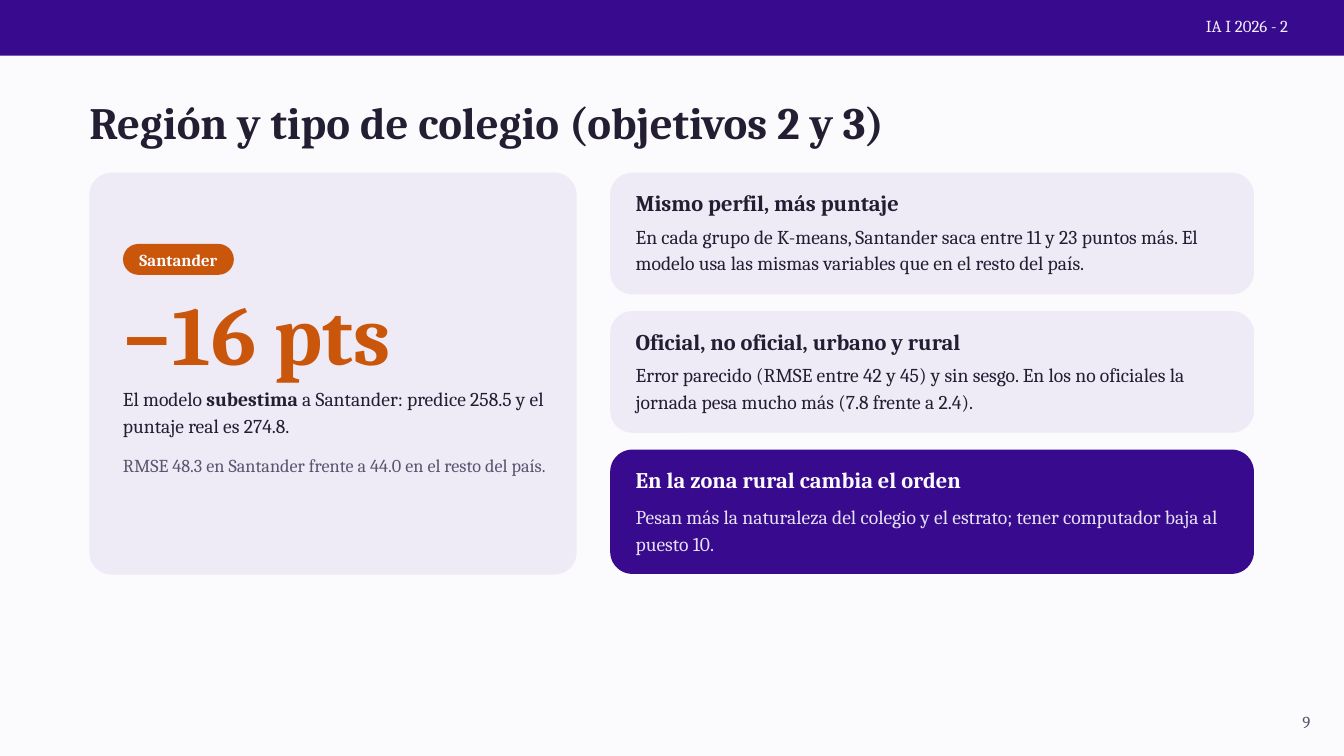
import pptx
import pptx.util
import pptx.dml.color
import pptx.enum.shapes
import pptx.enum.text

Inches = pptx.util.Inches
Pt = pptx.util.Pt
Shape = pptx.enum.shapes.MSO_SHAPE
Align = pptx.enum.text.PP_ALIGN
Anchor = pptx.enum.text.MSO_ANCHOR

FONT = "Cambria"
HUES = {
    "page": "FBFAFD",
    "brand": "380A8E",
    "card": "EEEAF6",
    "accent": "C9560A",
    "ink": "241E33",
    "muted": "5A5470",
    "pale": "F3EFFA",
    "lilac": "E6E0F3",
}
CARDS = [
    ("Mismo perfil, más puntaje",
     "En cada grupo de K-means, Santander saca entre 11 y 23 puntos más. "
     "El modelo usa las mismas variables que en el resto del país.",
     1.81, 0.73, "card", "ink", "ink"),
    ("Oficial, no oficial, urbano y rural",
     "Error parecido (RMSE entre 42 y 45) y sin sesgo. En los no oficiales "
     "la jornada pesa mucho más (7.8 frente a 2.4).",
     1.81, 0.73, "card", "ink", "ink"),
    ("En la zona rural cambia el orden",
     "Pesan más la naturaleza del colegio y el estrato; tener computador "
     "baja al puesto 10.",
     1.85, 0.78, "brand", "page", "lilac"),
]


def color(name):
    """Return the named colour."""
    return pptx.dml.color.RGBColor.from_string(HUES[name])


def panel(slide, box, hue, radius=0):
    """Draw a filled box with an optional corner radius."""
    kind = Shape.ROUNDED_RECTANGLE if radius else Shape.RECTANGLE
    shape = slide.shapes.add_shape(kind, *map(Inches, box))
    if radius:
        shape.adjustments[0] = radius / min(box[2:])
    shape.shadow.inherit = False
    shape.fill.solid()
    shape.fill.fore_color.rgb = color(hue)
    shape.line.fill.background()
    return shape


def label(slide, box, runs, size, lead, hue, align=Align.LEFT):
    """Place a paragraph of (text, bold) runs in a text box."""
    frame = slide.shapes.add_textbox(*map(Inches, box)).text_frame
    frame.word_wrap = True
    frame.margin_left = frame.margin_right = 0
    frame.margin_top = frame.margin_bottom = 0
    para = frame.paragraphs[0]
    para.alignment = align
    para.line_spacing = Pt(lead)
    for text, bold in runs:
        run = para.add_run()
        run.text = text
        run.font.name = FONT
        run.font.size = Pt(size)
        run.font.bold = bold
        run.font.color.rgb = color(hue)
    return frame


def header(slide, box):
    """Draw the top band with the course name."""
    left, top, width, height = box
    panel(slide, box, "brand")
    label(slide, (left + width - 5.12, top + 0.2, 4.29, 0.41),
          [("IA I 2026 - 2", False)], 18, 24.3, "pale", Align.RIGHT)


def result(slide, box):
    """Draw the Santander card with its key figure."""
    left, top, width, height = box
    panel(slide, box, "card", 0.33)
    left += 0.5
    wide = 6.44
    panel(slide, (left, top + 1.06, 1.65, 0.46), "accent", 0.23)
    tag = label(slide, (left, top + 1.03, 1.65, 0.49),
                [("Santander", True)], 18, 24.3, "page", Align.CENTER)
    tag.vertical_anchor = Anchor.MIDDLE
    label(slide, (left, top + 1.68, wide, 1.44),
          [("−16 pts", True)], 90, 103.5, "accent")
    label(slide, (left, top + 3.15, wide, 0.87),
          [("El modelo ", False), ("subestima", True),
           (" a Santander: predice 258.5 y el puntaje real es 274.8.", False)],
          21, 28.4, "ink")
    label(slide, (left, top + 4.15, wide, 0.8),
          [("RMSE 48.3 en Santander frente a 44.0 en el resto del país.", False)],
          19.5, 26.3, "muted")


def finding(slide, box, title, body, drop, fill, head, tone):
    """Draw one card with a heading and a body."""
    left, top, width, height = box
    panel(slide, box, fill, 0.33)
    label(slide, (left + 0.38, top + 0.25, 9.1, 0.44),
          [(title, True)], 24, 28.8, head)
    label(slide, (left + 0.38, top + drop, 9.1, 0.87),
          [(body, False)], 21, 28.4, tone)


def stack(slide, box, gap=0.25):
    """Stack the finding cards down the box."""
    left, top, width, _ = box
    for title, body, height, drop, fill, head, tone in CARDS:
        finding(slide, (left, top, width, height),
                title, body, drop, fill, head, tone)
        top += height + gap


def main():
    """Build and save the slide."""
    deck = pptx.Presentation()
    deck.slide_width = Inches(20)
    deck.slide_height = Inches(11.25)
    slide = deck.slides.add_slide(deck.slide_layouts[6])
    slide.background.fill.solid()
    slide.background.fill.fore_color.rgb = color("page")
    header(slide, (0, 0, 20, 0.83))
    label(slide, (1.33, 1.47, 17.85, 0.72),
          [("Región y tipo de colegio (objetivos 2 y 3)", True)],
          48, 52.8, "ink")
    result(slide, (1.33, 2.57, 7.25, 5.98))
    stack(slide, (9.08, 2.57, 9.58, 5.98))
    label(slide, (18.58, 10.55, 0.92, 0.41),
          [("9", False)], 18, 24.3, "muted", Align.RIGHT)
    deck.save("out.pptx")


if __name__ == "__main__":
    main()
